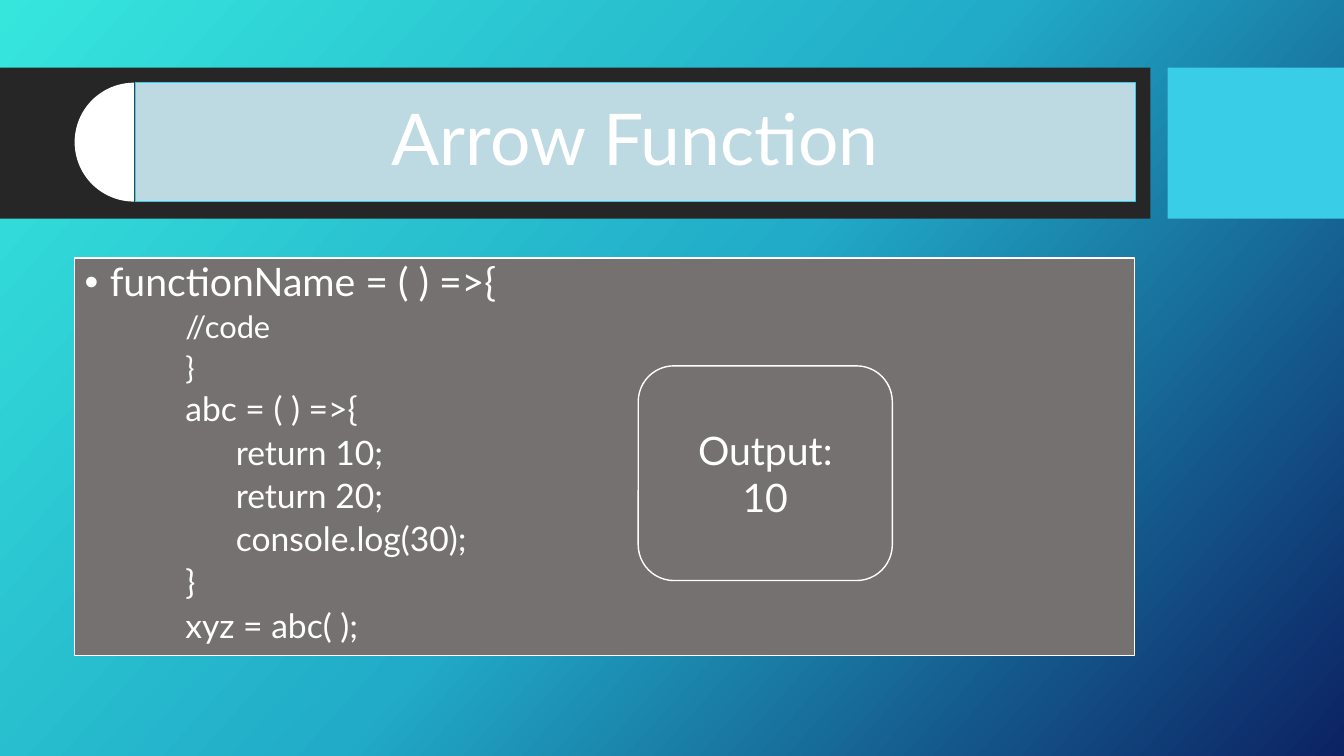
"""Builds a slide that explains the arrow function."""
from copy import deepcopy

from lxml import etree
from pptx import Presentation
from pptx.dml.color import RGBColor
from pptx.enum.shapes import MSO_SHAPE
from pptx.enum.text import MSO_ANCHOR, PP_ALIGN
from pptx.oxml.ns import qn
from pptx.util import Inches, Pt

RECT, PIE, ROUNDED = MSO_SHAPE.RECTANGLE, MSO_SHAPE.PIE, MSO_SHAPE.ROUNDED_RECTANGLE
TOP, MIDDLE = MSO_ANCHOR.TOP, MSO_ANCHOR.MIDDLE
LEFT, CENTER = PP_ALIGN.LEFT, PP_ALIGN.CENTER

COLORS = {
    "band": "262626",
    "accent": "39CDE7",
    "title_fill": "CEEDF6",
    "panel": "767171",
    "white": "FFFFFF",
}
GRADIENT = [(0, "36E6DD"), (0.5, "21ABC8"), (1, "0C2263")]
CODE = [
    ("//code", 22),
    ("}", 22),
    ("abc = ( ) =>{", 24),
    ("\treturn 10;", 24),
    ("\treturn 20;", 24),
    ("\tconsole.log(30);", 24),
    ("}", 24),
    ("xyz = abc( );", 24),
]


class SlideBuilder:
    def __init__(self, slide, font="Lato"):
        self.slide = slide
        self.font = font

    def background(self, stops, angle):
        fill = self.slide.background.fill
        fill.gradient()
        fill.gradient_angle = 360 - angle
        stop_list = self.slide.element.find(".//" + qn("a:gsLst"))
        stop_list.insert(1, deepcopy(stop_list[0]))
        for stop, (position, color) in zip(fill.gradient_stops, stops):
            stop.position = position
            stop.color.rgb = RGBColor.from_string(color)

    def block(self, preset, box, fill, line=None, width=0.75, opacity=None):
        shape = self.slide.shapes.add_shape(preset, *map(Inches, box))
        shape.shadow.inherit = False
        shape.fill.solid()
        shape.fill.fore_color.rgb = RGBColor.from_string(COLORS[fill])
        if opacity is not None:
            color = shape.fill._xPr.find(".//" + qn("a:srgbClr"))
            etree.SubElement(color, qn("a:alpha"), val=str(opacity * 1000))
        if line:
            shape.line.color.rgb = RGBColor.from_string(COLORS[line])
            shape.line.width = Pt(width)
        else:
            shape.line.fill.background()
        return shape

    def frame(self, shape, anchor, inset=None):
        frame = shape.text_frame
        values = {"word_wrap": True, "vertical_anchor": anchor}
        if inset is not None:
            sides = ("left", "top", "right", "bottom")
            values.update({f"margin_{side}": Inches(inset) for side in sides})
        for name, value in values.items():
            setattr(frame, name, value)
        return frame

    def paragraph(self, frame, text, size, indent=None, bullet=None, **layout):
        line = frame.paragraphs[0] if not frame.text else frame.add_paragraph()
        for name, value in layout.items():
            setattr(line, name, value)
        if indent:
            properties = line._p.get_or_add_pPr()
            for name, value in zip(("marL", "indent"), indent):
                properties.set(name, str(Inches(value)))
            if bullet:
                etree.SubElement(properties, qn("a:buFont"), typeface="Arial")
                etree.SubElement(properties, qn("a:buChar"), char=bullet)
            else:
                etree.SubElement(properties, qn("a:buNone"))
        run = line.add_run()
        run.text = text
        for name, value in {"name": self.font, "size": Pt(size)}.items():
            setattr(run.font, name, value)
        run.font.color.rgb = RGBColor.from_string(COLORS["white"])


def main():
    deck = Presentation()
    deck.slide_width, deck.slide_height = Inches(13.33), Inches(7.5)
    builder = SlideBuilder(deck.slides.add_slide(deck.slide_layouts[6]))
    builder.background(GRADIENT, 42)

    builder.block(RECT, (0, 0.67, 11.41, 1.5), "band")
    builder.block(RECT, (11.58, 0.67, 1.75, 1.5), "accent")
    title_cap = builder.block(PIE, (0.74, 0.82, 1.18, 1.18), "white")
    title_cap.adjustments[0], title_cap.adjustments[1] = 54, 162
    title_bar = builder.block(
        RECT, (1.34, 0.82, 9.92, 1.18), "title_fill", "accent", opacity=90)
    title = builder.frame(title_bar, MIDDLE, 0.21)
    builder.paragraph(title, "Arrow Function", 51, alignment=CENTER, line_spacing=0.9)

    code_panel = builder.block(RECT, (0.74, 2.56, 10.51, 3.94), "panel", "white")
    code = builder.frame(code_panel, TOP)
    builder.paragraph(code, "functionName = ( ) =>{", 28, (0.25, -0.25), "•",
                      alignment=LEFT, line_spacing=0.9)
    for text, size in CODE:
        builder.paragraph(code, text, size, (1, 0), level=2, alignment=LEFT,
                          line_spacing=0.9, space_before=Pt(5))

    output_card = builder.block(
        ROUNDED, (6.33, 3.63, 2.52, 2.13), "panel", "white", width=1)
    output = builder.frame(output_card, MIDDLE)
    for text in ("Output:", "10"):
        builder.paragraph(output, text, 28, alignment=CENTER)

    deck.save("out.pptx")


if __name__ == "__main__":
    main()
